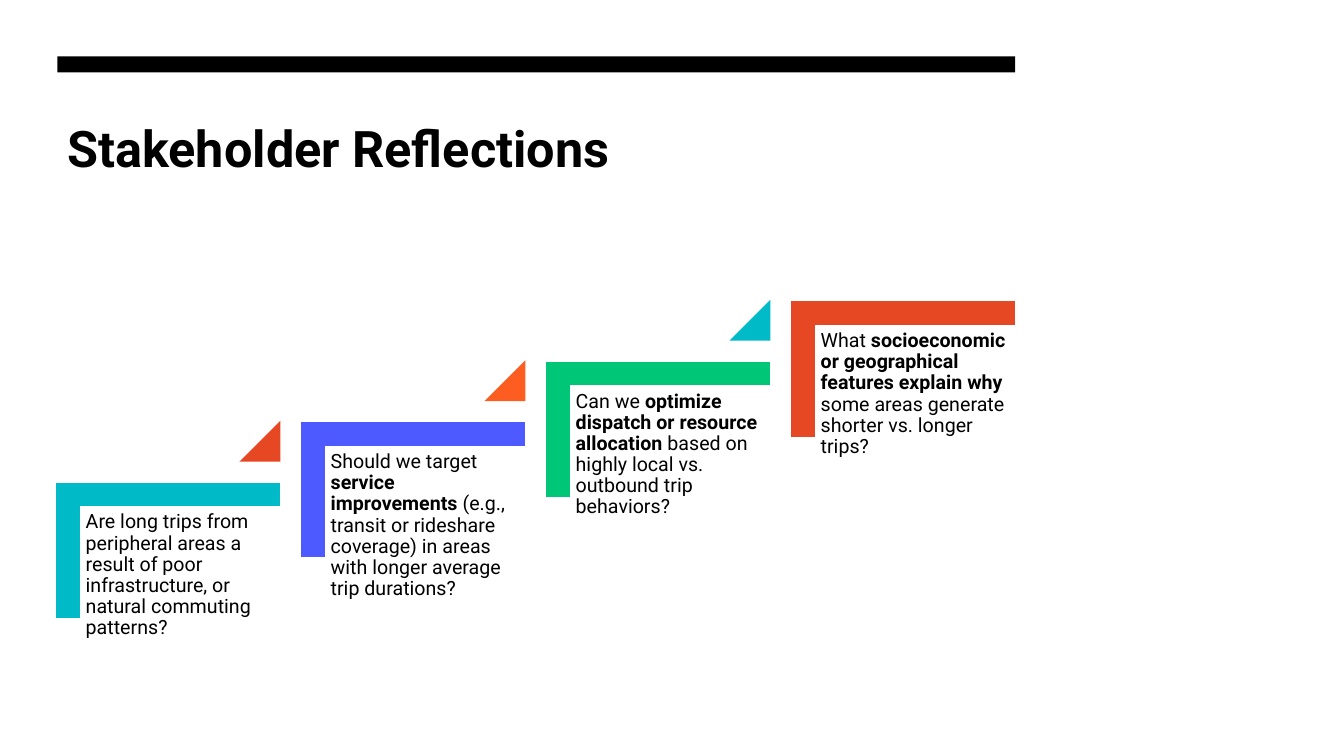
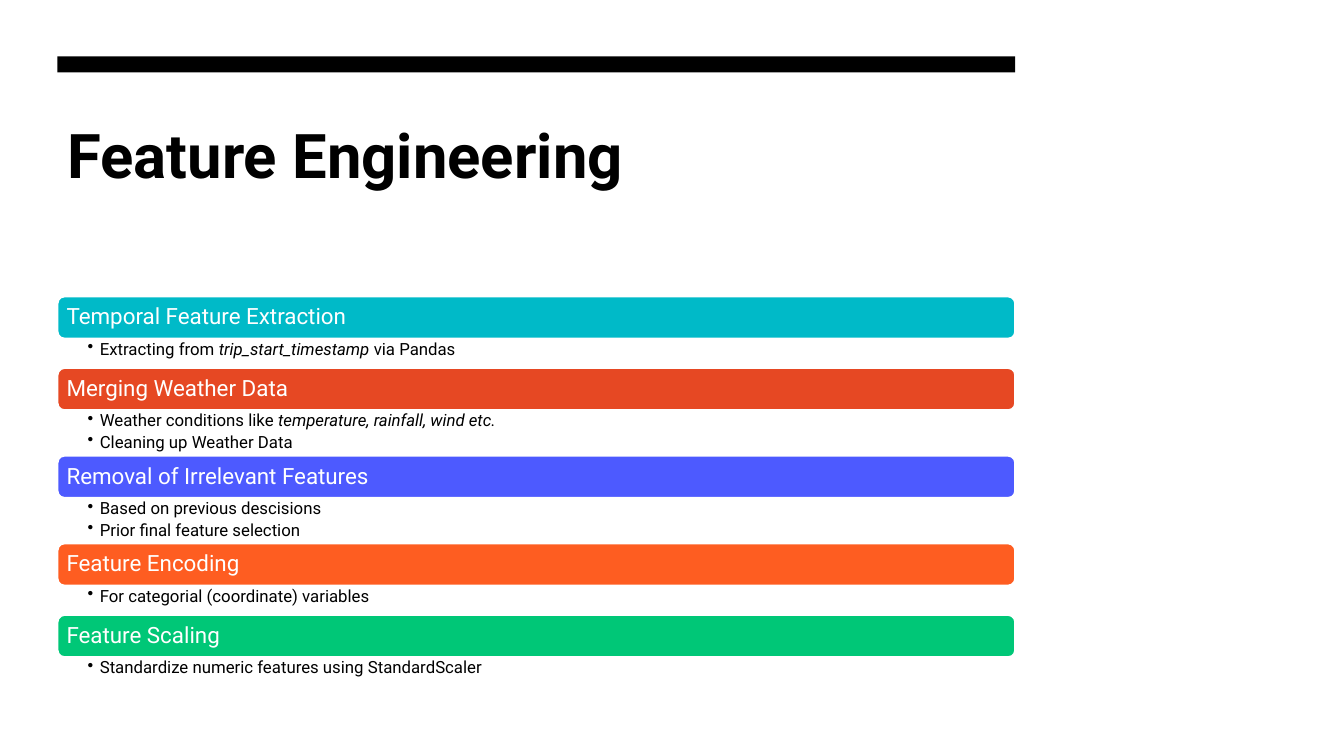
from dataclasses import dataclass

from lxml import etree
from pptx import Presentation
from pptx.dml.color import RGBColor
from pptx.enum.shapes import MSO_SHAPE
from pptx.enum.text import MSO_ANCHOR, PP_ALIGN
from pptx.oxml.ns import qn
from pptx.util import Inches, Pt


@dataclass(frozen=True)
class Theme:
    font: str = "Roboto"
    black: str = "000000"
    white: str = "FFFFFF"
    teal: str = "00BAC8"
    red: str = "E64823"
    blue: str = "4D5AFF"
    orange: str = "FE5D21"
    green: str = "00C777"
    title: int = 36
    title_large: int = 44
    heading: int = 16
    step: int = 14
    bullet: int = 12
    outline: float = 1.5


T = Theme()
LEFT, WIDTH = 0.57, 9.5

# Each step: colour, colour of the triangle after it, runs (bold where flagged)
STEPS = [
    (T.teal, T.red, [("Are long trips from peripheral areas a result of poor "
                      "infrastructure, or natural commuting patterns?", False)]),
    (T.blue, T.orange, [("Should we target ", False), ("service improvements", True),
                        (" (e.g., transit or rideshare coverage) in areas with "
                         "longer average trip durations?", False)]),
    (T.green, T.teal, [("Can we ", False),
                       ("optimize dispatch or resource allocation", True),
                       (" based on highly local vs. outbound trip behaviors?", False)]),
    (T.red, None, [("What ", False),
                   ("socioeconomic or geographical features explain why", True),
                   (" some areas generate shorter vs. longer trips?", False)]),
]

# Each section: colour, heading, bullets as runs (italic where flagged)
SECTIONS = [
    (T.teal, "Temporal Feature Extraction",
     [[("Extracting from ", False), ("trip_start_timestamp ", True),
       ("via Pandas", False)]]),
    (T.red, "Merging Weather Data",
     [[("Weather conditions like ", False),
       ("temperature, rainfall, wind etc.", True)],
      [("Cleaning up Weather Data", False)]]),
    (T.blue, "Removal of Irrelevant Features",
     [[("Based on previous descisions", False)],
      [("Prior final feature selection", False)]]),
    (T.orange, "Feature Encoding",
     [[("For categorial (coordinate) variables", False)]]),
    (T.green, "Feature Scaling",
     [[("Standardize numeric features using StandardScaler", False)]]),
]


def paint(sp, fill, line=None):
    """Make a shape flat, with a sharp outline if a line colour is given."""
    sp.shadow.inherit = False
    sp.fill.solid()
    sp.fill.fore_color.rgb = RGBColor.from_string(fill)
    if line:
        sp.line.color.rgb = RGBColor.from_string(line)
        sp.line.width = Pt(T.outline)
        etree.SubElement(sp.line._get_or_add_ln(), qn("a:miter"), lim="800000")
    else:
        sp.line.fill.background()
    return sp


def add_block(s, kind, x, y, w, h, fill, line=None):
    sp = s.shapes.add_shape(kind, Inches(x), Inches(y), Inches(w), Inches(h))
    return paint(sp, fill, line)


def add_bracket(s, x, y, w, h, thick, color):
    """Draw a band along the top and left sides of the given box."""
    corners = [(x + w, y), (x + w, y + thick), (x + thick, y + thick),
               (x + thick, y + h), (x, y + h)]
    builder = s.shapes.build_freeform(Inches(x), Inches(y))
    builder.add_line_segments([(Inches(a), Inches(b)) for a, b in corners])
    return paint(builder.convert_to_shape(), color, color)


def add_box(s, x, y, w, h):
    return s.shapes.add_textbox(Inches(x), Inches(y), Inches(w), Inches(h))


def set_bullet(p, indent=0.12):
    pPr = p._p.get_or_add_pPr()
    pPr.set("marL", str(Inches(indent)))
    pPr.set("indent", str(-Inches(indent)))
    etree.SubElement(pPr, qn("a:buChar"), char="•")


def write(sp, paragraphs, size, color=T.black, bold=False, emphasis="bold",
          insets=(0.06, 0.06, 0.06, 0.06), anchor=MSO_ANCHOR.TOP,
          spacing=0.9, after=0, bullet=False):
    """Fill a shape with paragraphs, each a list of (text, emphasised) runs."""
    tf = sp.text_frame
    tf.word_wrap = True
    tf.vertical_anchor = anchor
    tf.margin_left, tf.margin_top, tf.margin_right, tf.margin_bottom = map(Inches, insets)
    for i, runs in enumerate(paragraphs):
        p = tf.add_paragraph() if i else tf.paragraphs[0]
        p.alignment = PP_ALIGN.LEFT
        p.line_spacing = spacing
        p.space_after = Pt(after)
        if bullet:
            set_bullet(p)
        for text, emphasised in runs:
            r = p.add_run()
            r.text = text
            r.font.name, r.font.size, r.font.bold = T.font, Pt(size), bold
            r.font.color.rgb = RGBColor.from_string(color)
            if emphasised:
                setattr(r.font, emphasis, True)


def new_slide(prs, title, size):
    """Start a slide with the black band and the title."""
    s = prs.slides.add_slide(prs.slide_layouts[6])
    write(add_box(s, LEFT, 1.07, WIDTH, 1.6), [[(title, False)]], size,
          bold=True, spacing=1.0, insets=(0.1, 0.09, 0.1, 0.05))
    add_block(s, MSO_SHAPE.RECTANGLE, LEFT, 0.56, WIDTH, 0.16, T.black)
    return s


def add_step(s, x, y, w, h, color, next_color, runs):
    """Place one stair step, whose bracket fills the given box."""
    thick, side = 0.21, 0.37
    add_bracket(s, x, y, w, h, thick, color)
    # Question
    write(add_box(s, x + 0.22, y + 0.22, w - 0.22, 1.74), [runs], T.step)
    # Triangle leading up to the next step
    if next_color:
        tri = add_block(s, MSO_SHAPE.ISOSCELES_TRIANGLE, x + w - side, y - 0.6,
                        side, side, next_color, next_color)
        tri.adjustments[0] = 1


def add_section(s, x, y, w, color, heading, bullets):
    """Place a heading bar and its bullets; return where the next one starts."""
    bar_h, list_h = 0.42, 0.13 + 0.16 * len(bullets)
    bar = add_block(s, MSO_SHAPE.ROUNDED_RECTANGLE, x, y, w, bar_h, color, T.white)
    write(bar, [[(heading, False)]], T.heading, T.white,
          anchor=MSO_ANCHOR.MIDDLE, insets=(0.07, 0.05, 0.07, 0.05))
    write(add_box(s, x, y + bar_h, w, list_h), bullets, T.bullet, emphasis="italic",
          insets=(0.3, 0.02, 0.12, 0.02), after=2.4, bullet=True)
    return y + bar_h + list_h


def reflections_slide(prs):
    s = new_slide(prs, "Stakeholder Reflections", T.title)
    for i, step in enumerate(STEPS):
        add_step(s, LEFT + 2.43 * i, 4.8 - 0.6 * i, 2.2, 1.32, *step)


def features_slide(prs):
    s = new_slide(prs, "Feature Engineering", T.title_large)
    y = 2.94
    for section in SECTIONS:
        y = add_section(s, LEFT, y, WIDTH, *section)


def main():
    prs = Presentation()
    prs.slide_width, prs.slide_height = Inches(13.33), Inches(7.5)
    reflections_slide(prs)
    features_slide(prs)
    prs.save("out.pptx")


if __name__ == "__main__":
    main()
